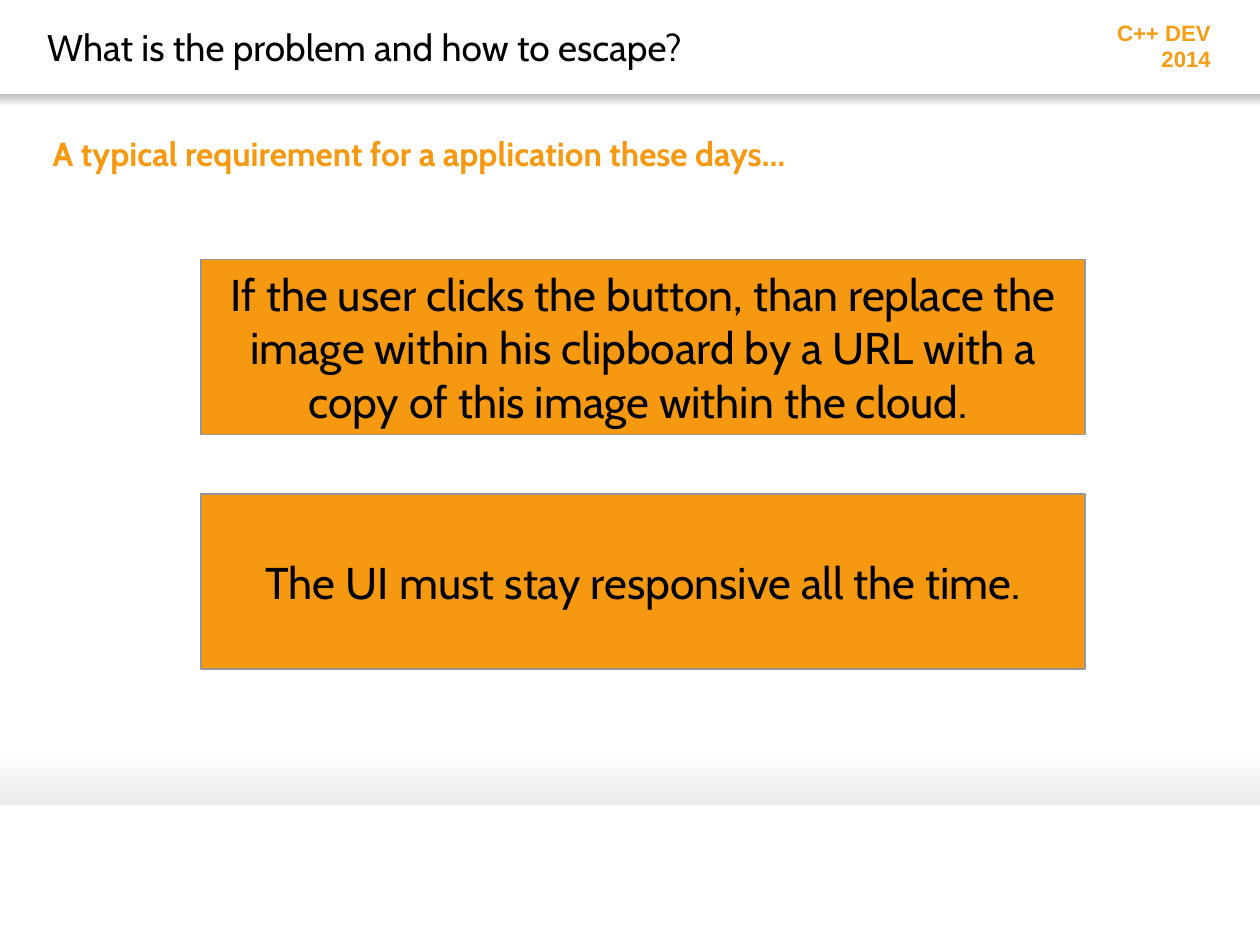
from pptx import Presentation
from pptx.dml.color import RGBColor
from pptx.enum.shapes import MSO_SHAPE as Shape
from pptx.enum.text import MSO_ANCHOR as Anchor, PP_ALIGN as Align
from pptx.util import Pt

PX = 9525  # EMU, 96 px to the inch
PAGE_WIDTH, PAGE_HEIGHT = 908, 680
COLOURS = {
    "text": "000000",
    "title": "F79910",
    "event": "F79C14",
    "box": "F79910",
    "outline": "969696",
    "white": "FFFFFF",
    "header_shade": "C0C0C0",
    "footer_shade": "EAEAEA",
}
REQUIREMENTS = [
    "If the user clicks the button, than replace the image within his "
    "clipboard by a URL with a copy of this image within the cloud. ",
    "The UI must stay responsive all the time.",
]


def colour(name):
    return RGBColor.from_string(COLOURS[name])


def scaled(*lengths):
    return [length * PX for length in lengths]


def write(shape, text, size, ink, font="Cabin", bold=False,
          align=Align.LEFT, anchor=Anchor.TOP, inset=None):
    frame = shape.text_frame
    frame.text = text
    frame.word_wrap = True
    frame.vertical_anchor = anchor
    if inset is not None:
        frame.margin_left = frame.margin_right = inset * PX
        frame.margin_top = frame.margin_bottom = inset * PX
    para = frame.paragraphs[0]
    para.alignment = align
    for span in para.runs:
        span.font.name = font
        span.font.size = Pt(size)
        span.font.bold = bold
        span.font.color.rgb = colour(ink)


def add_rectangle(page, left, top, width, height):
    box = page.shapes.add_shape(Shape.RECTANGLE, *scaled(left, top, width, height))
    box.shadow.inherit = False
    return box


def add_shaded_band(page, top, height, upper, lower):
    """Draw a full-width band that fades from the upper to the lower colour."""
    band = add_rectangle(page, 0, top, PAGE_WIDTH, height)
    band.line.fill.background()
    band.fill.gradient()
    band.fill.gradient_angle = 270
    for stop, name, position in zip(band.fill.gradient_stops, (upper, lower), (0, 1)):
        stop.color.rgb = colour(name)
        stop.position = position


def add_header(page, left, top, width, height):
    heading = page.shapes.add_textbox(*scaled(left + 34, top + 18, 668, 44))
    write(heading, "What is the problem and how to escape?", 20, "text", inset=0)
    event = page.shapes.add_textbox(*scaled(left + width - 120, top + 9, 94, 48))
    write(event, "C++ DEV\v2014", 12, "event", font="Arial", bold=True, align=Align.RIGHT)
    add_shaded_band(page, top + height, 9, "header_shade", "white")


def place_title(page, left, top, width, height):
    title = page.shapes.title
    title.left, title.top, title.width, title.height = scaled(left, top, width, height)
    write(title, "A typical requirement for a application these days…", 18, "title",
          bold=True, inset=0)


def add_requirements(page, left, top, width, height, gap=43):
    """Stack the requirement boxes evenly within the given area."""
    count = len(REQUIREMENTS)
    box_height = (height - gap * (count - 1)) // count
    for index, text in enumerate(REQUIREMENTS):
        box = add_rectangle(page, left, top + index * (box_height + gap), width, box_height)
        box.fill.solid()
        box.fill.fore_color.rgb = colour("box")
        box.line.color.rgb = colour("outline")
        box.line.width = Pt(0.75)
        write(box, text, 24, "text", align=Align.CENTER, anchor=Anchor.MIDDLE)


def main():
    deck = Presentation()
    deck.slide_width, deck.slide_height = scaled(PAGE_WIDTH, PAGE_HEIGHT)
    page = deck.slides.add_slide(deck.slide_layouts[5])
    add_header(page, 0, 0, PAGE_WIDTH, 68)
    add_shaded_band(page, 541, 39, "white", "footer_shade")
    place_title(page, 38, 96, 828, 91)
    add_requirements(page, 145, 187, 637, 295)
    deck.save("out.pptx")


if __name__ == "__main__":
    main()
